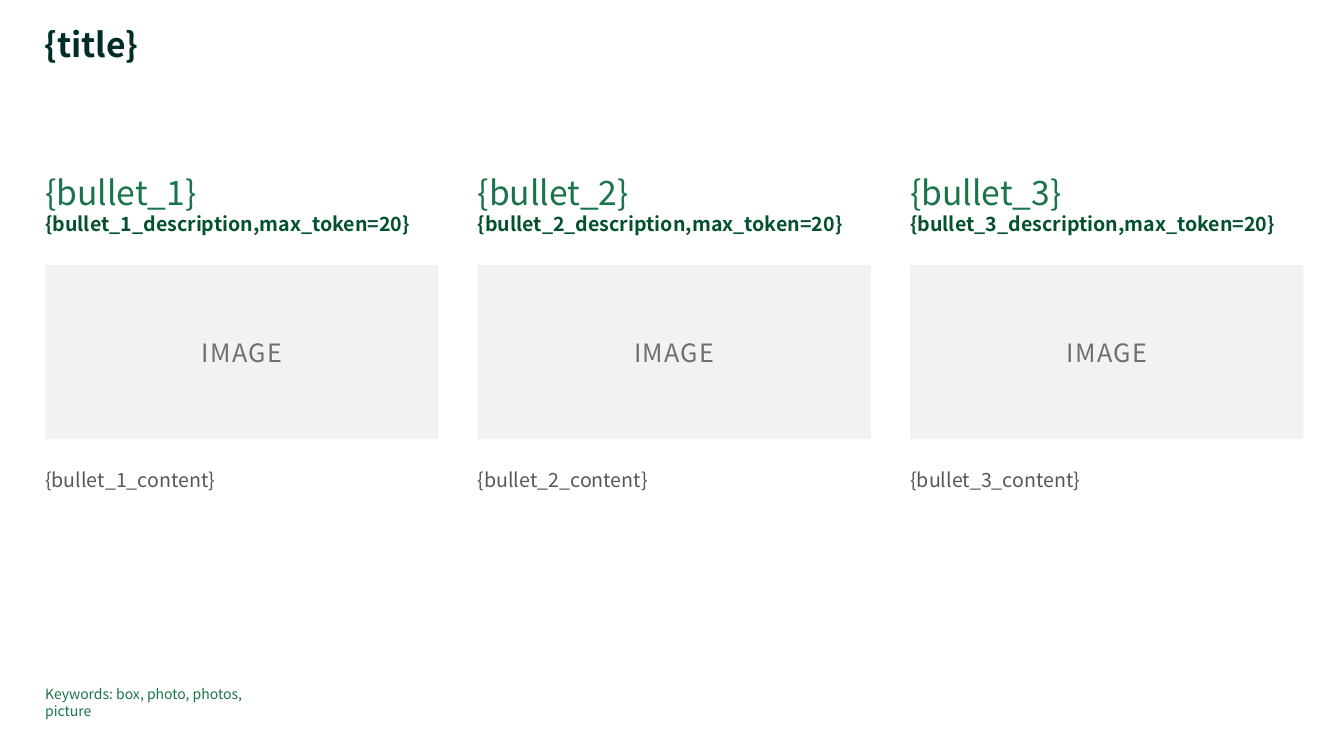
from dataclasses import dataclass

from pptx import Presentation
from pptx.dml.color import RGBColor
from pptx.enum.shapes import MSO_SHAPE
from pptx.enum.text import MSO_ANCHOR as Anchor, MSO_AUTO_SIZE as AutoSize, PP_ALIGN as Align
from pptx.shapes.autoshape import Shape
from pptx.slide import Slide
from pptx.text.text import TextFrame, _Paragraph as Paragraph
from pptx.util import Cm, Pt


@dataclass(frozen=True)
class Theme:
    font: str = "Noto Sans CJK JP"
    title: str = "002D28"
    accent: str = "1A7449"
    description: str = "03522D"
    body: str = "575757"
    image_text: str = "6E6F73"
    image_fill: str = "F2F2F2"
    heading_size: int = 24
    image_size: int = 18
    body_size: int = 14
    note_size: int = 10


@dataclass(frozen=True)
class Column:
    heading: str
    description: str
    content: str


THEME = Theme()
LEFT, COLUMN_WIDTH, COLUMN_STEP = 1.14, 9.91, 10.9
COLUMNS = [
    Column(f"{{bullet_{n}}}", f"{{bullet_{n}_description,max_token=20}}", f"{{bullet_{n}_content}}")
    for n in range(1, 4)
]


def write(p: Paragraph, text: str, *, size: int, color: str, bold: bool = False,
          align: Align = Align.LEFT, tracking: float = 0) -> None:
    """Add a formatted run; tracking is letter spacing in points."""
    p.alignment = align
    r = p.add_run()
    r.text = text
    r.font.name = THEME.font
    r.font.size = Pt(size)
    r.font.bold = bold
    r.font.color.rgb = RGBColor.from_string(color)
    if tracking:
        r.font._element.set("spc", str(round(tracking * 100)))


def fit_frame(s: Shape) -> TextFrame:
    """Give a shape a wrapped, top-anchored frame without margins."""
    tf = s.text_frame
    tf.margin_left = tf.margin_right = tf.margin_top = tf.margin_bottom = 0
    tf.word_wrap = True
    tf.vertical_anchor = Anchor.TOP
    tf.auto_size = AutoSize.SHAPE_TO_FIT_TEXT
    return tf


def add_text_box(slide: Slide, left: float, top: float, width: float, height: float) -> TextFrame:
    return fit_frame(slide.shapes.add_textbox(Cm(left), Cm(top), Cm(width), Cm(height)))


def add_title(slide: Slide, text: str) -> None:
    s = slide.shapes.title
    s.left, s.top, s.width, s.height = Cm(1.12), Cm(0.71), Cm(28.02), Cm(0.94)
    p = fit_frame(s).paragraphs[0]
    p.line_spacing = 0.9
    write(p, text, size=THEME.heading_size, color=THEME.title, bold=True)


def add_image_box(slide: Slide, left: float) -> None:
    s = slide.shapes.add_shape(MSO_SHAPE.RECTANGLE, Cm(left), Cm(6.68), Cm(COLUMN_WIDTH), Cm(4.39))
    s.shadow.inherit = False
    s.fill.solid()
    s.fill.fore_color.rgb = RGBColor.from_string(THEME.image_fill)
    s.line.fill.background()
    s.text_frame.vertical_anchor = Anchor.MIDDLE
    write(s.text_frame.paragraphs[0], "IMAGE", size=THEME.image_size, color=THEME.image_text,
          align=Align.CENTER, tracking=1)


def add_column(slide: Slide, column: Column, left: float) -> None:
    add_image_box(slide, left)
    tf = add_text_box(slide, left, 4.32, COLUMN_WIDTH, 1.63)
    write(tf.paragraphs[0], column.heading, size=THEME.heading_size, color=THEME.accent)
    write(tf.add_paragraph(), column.description, size=THEME.body_size,
          color=THEME.description, bold=True)
    tf = add_text_box(slide, left, 11.79, COLUMN_WIDTH, 0.61)
    write(tf.paragraphs[0], column.content, size=THEME.body_size, color=THEME.body)


def main() -> None:
    prs = Presentation()
    prs.slide_width, prs.slide_height = Cm(33.87), Cm(19.05)
    slide = prs.slides.add_slide(prs.slide_layouts.get_by_name("Title Only"))
    add_title(slide, "{title}")
    for i, column in enumerate(COLUMNS):
        add_column(slide, column, LEFT + i * COLUMN_STEP)
    tf = add_text_box(slide, LEFT, 17.27, 5.92, 0.43)
    write(tf.paragraphs[0], "Keywords: box, photo, photos, picture",
          size=THEME.note_size, color=THEME.accent)
    prs.save("out.pptx")


if __name__ == "__main__":
    main()
